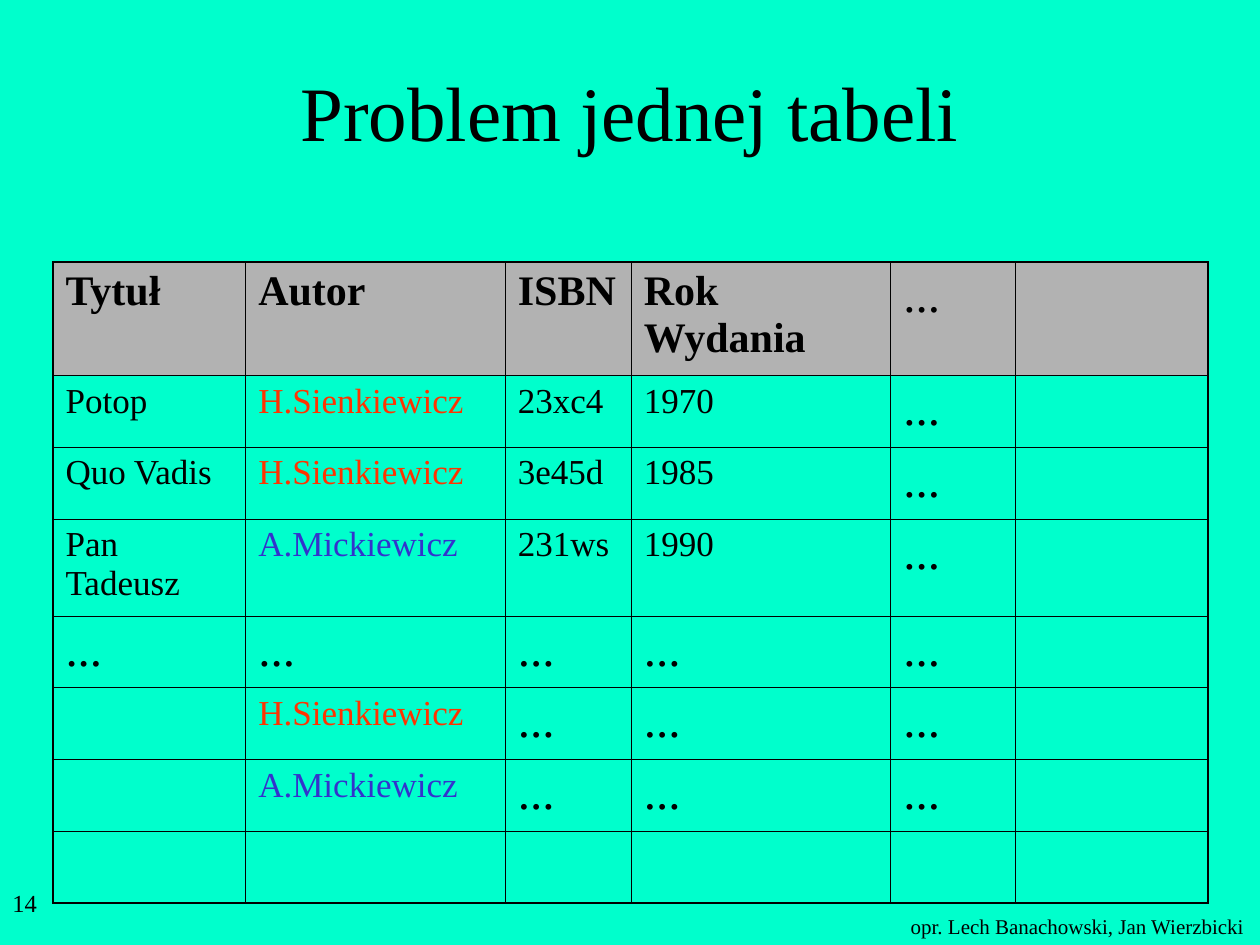
from dataclasses import dataclass

from lxml.etree import SubElement
from pptx import Presentation
from pptx.dml.color import RGBColor
from pptx.enum.text import MSO_ANCHOR, PP_ALIGN
from pptx.oxml.ns import qn
from pptx.util import Inches, Pt

FONT = "Times New Roman"
COLORS = {"back": "00FFCC", "ink": "000000", "head": "B2B2B2",
          "red": "FF3300", "blue": "3333CC"}
TINTS = {"H.Sienkiewicz": "red", "A.Mickiewicz": "blue"}
DOTS = "..."
COLS = (1.53, 2.06, 1, 2.06, 0.99, 1.53)
TALL = {0: 0.9, 3: 0.77}
ROWS = (
    ("Tytuł", "Autor", "ISBN", "Rok Wydania", DOTS, ""),
    ("Potop", "H.Sienkiewicz", "23xc4", "1970", DOTS, ""),
    ("Quo Vadis", "H.Sienkiewicz", "3e45d", "1985", DOTS, ""),
    ("Pan Tadeusz", "A.Mickiewicz", "231ws", "1990", DOTS, ""),
    (DOTS,) * 5 + ("",),
    ("", "H.Sienkiewicz") + (DOTS,) * 3 + ("",),
    ("", "A.Mickiewicz") + (DOTS,) * 3 + ("",),
    ("",) * 6,
)


@dataclass
class Label:
    text: str
    left: float
    top: float
    width: float
    height: float
    size: int
    align: PP_ALIGN = PP_ALIGN.LEFT
    anchor: MSO_ANCHOR = MSO_ANCHOR.TOP
    wrap: bool = True


LABELS = (
    Label("opr. Lech Banachowski, Jan Wierzbicki", 7.13, 7.2, 2.86, 0.3, 12,
          wrap=False),
    Label("Problem jednej tabeli", 0.75, 0.25, 8.5, 1.25, 44,
          PP_ALIGN.CENTER, MSO_ANCHOR.MIDDLE),
    Label("14", 0, 7, 2.08, 0.5, 14),
)


def color(name: str) -> RGBColor:
    """Return the named colour."""
    return RGBColor.from_string(COLORS[name])


def add_run(para, text: str, size: int, tint: str = "ink",
            bold: bool = False) -> None:
    """Add one styled run to a paragraph."""
    run = para.add_run()
    run.text = text
    run.font.name = FONT
    run.font.size = Pt(size)
    run.font.bold = bold
    run.font.color.rgb = color(tint)


def add_label(slide, label: Label) -> None:
    """Draw one text box."""
    box = slide.shapes.add_textbox(Inches(label.left), Inches(label.top),
                                   Inches(label.width), Inches(label.height))
    frame = box.text_frame
    frame.word_wrap = label.wrap
    frame.vertical_anchor = label.anchor
    para = frame.paragraphs[0]
    para.alignment = label.align
    add_run(para, label.text, label.size)


def add_edges(cell, row: int, col: int) -> None:
    """Rule a cell, with heavier lines on the rim of the table."""
    rims = {"lnL": col == 0, "lnR": col == len(COLS) - 1,
            "lnT": row == 0, "lnB": row == len(ROWS) - 1}
    props = cell._tc.get_or_add_tcPr()
    for tag, rim in rims.items():
        line = SubElement(props, qn(f"a:{tag}"), w=str(Pt(1.08 if rim else 0.45)))
        fill = SubElement(line, qn("a:solidFill"))
        SubElement(fill, qn("a:srgbClr"), val=COLORS["ink"])


def fill_cell(cell, row: int, col: int, text: str) -> None:
    """Style one table cell and write its text."""
    head = row == 0
    add_edges(cell, row, col)
    if head:
        cell.fill.solid()
        cell.fill.fore_color.rgb = color("head")
    else:
        cell.fill.background()
    if text:
        dots = text == DOTS
        size = 28 if dots else 24 if head else 20
        add_run(cell.text_frame.paragraphs[0], text, size,
                TINTS.get(text, "ink"), head and not dots)


def add_books(slide) -> None:
    """Draw the table of books."""
    tall = [TALL.get(row, 0.57) for row in range(len(ROWS))]
    table = slide.shapes.add_table(
        len(ROWS), len(COLS), Inches(0.42), Inches(2.08),
        Inches(sum(COLS)), Inches(sum(tall))).table
    table.first_row = table.horz_banding = False
    for col, width in enumerate(COLS):
        table.columns[col].width = Inches(width)
    for row, texts in enumerate(ROWS):
        table.rows[row].height = Inches(tall[row])
        for col, text in enumerate(texts):
            fill_cell(table.cell(row, col), row, col, text)


def main() -> None:
    """Build and save the slide."""
    deck = Presentation()
    deck.slide_width, deck.slide_height = Inches(10), Inches(7.5)
    slide = deck.slides.add_slide(deck.slide_layouts[6])
    slide.background.fill.solid()
    slide.background.fill.fore_color.rgb = color("back")
    for label in LABELS:
        add_label(slide, label)
    add_books(slide)
    deck.save("out.pptx")


if __name__ == "__main__":
    main()
